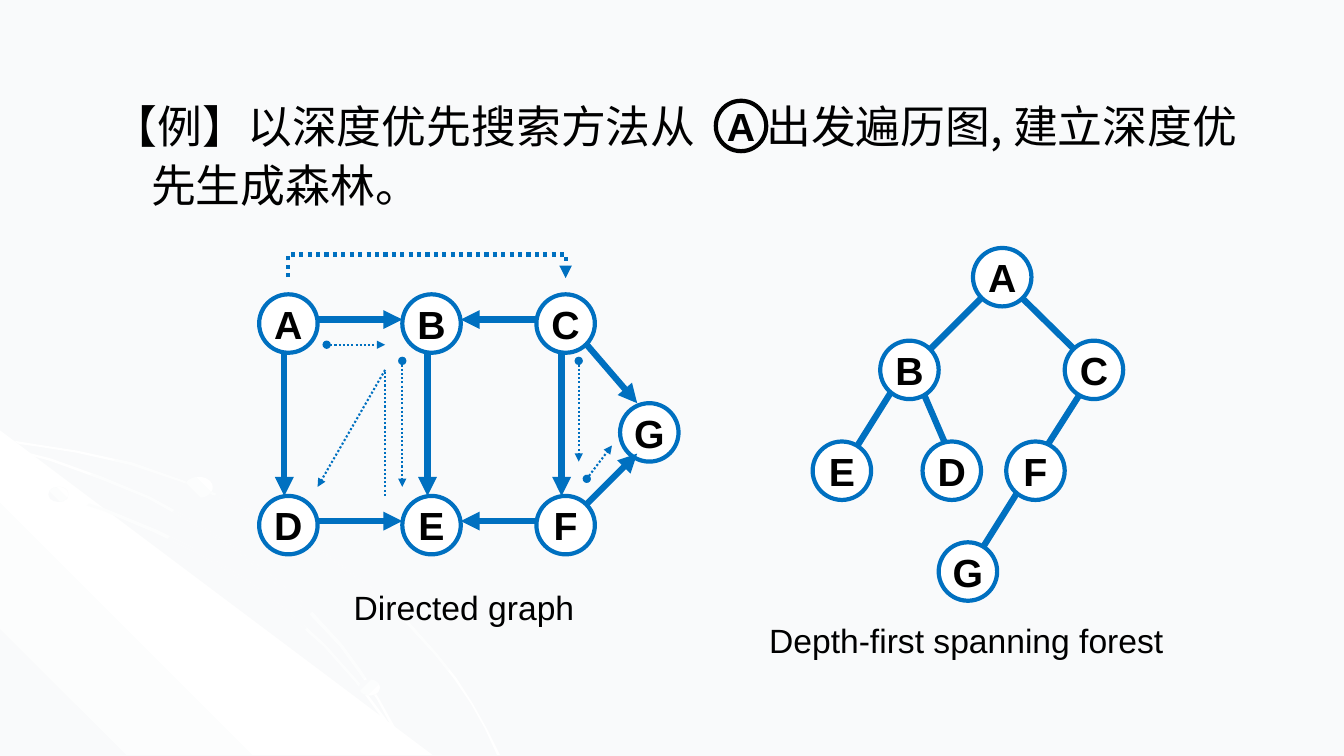
from dataclasses import dataclass
from typing import Any

from lxml import etree
from pptx import Presentation
from pptx.dml.color import RGBColor
from pptx.enum.dml import MSO_LINE
from pptx.enum.shapes import MSO_CONNECTOR, MSO_SHAPE
from pptx.enum.text import MSO_ANCHOR, MSO_AUTO_SIZE, PP_ALIGN
from pptx.oxml.ns import qn
from pptx.util import Inches, Pt

STRAIGHT, ELBOW = MSO_CONNECTOR.STRAIGHT, MSO_CONNECTOR.ELBOW
ELLIPSE = MSO_SHAPE.OVAL
DOTTED = MSO_LINE.ROUND_DOT
CENTER = PP_ALIGN.CENTER
MIDDLE = MSO_ANCHOR.MIDDLE
FIT_TEXT = MSO_AUTO_SIZE.SHAPE_TO_FIT_TEXT

BLACK = RGBColor(0x00, 0x00, 0x00)
WHITE = RGBColor(0xFF, 0xFF, 0xFF)
BLUE = RGBColor(0x00, 0x70, 0xC0)
MIST = RGBColor(0xF9, 0xFA, 0xFB)

LATIN, CHINESE = "Arial", "Noto Sans CJK SC"
NODE_SIZE = 0.58
NODE_FONT = {"name": LATIN, "size": Pt(28), "bold": True}
CAPTION_FONT = {"name": LATIN, "size": Pt(24)}
TITLE_FONT = {"name": CHINESE, "size": Pt(32)}
NODE_FRAME = {"vertical_anchor": MIDDLE, "word_wrap": False}
CAPTION_FRAME = {"word_wrap": False, "auto_size": FIT_TEXT}

Point = tuple[float, float]


@dataclass
class Node:
    label: str
    left: float
    top: float
    size: float = NODE_SIZE
    outline: RGBColor = BLUE
    filled: bool = True


@dataclass
class Edge:
    start: Point
    end: Point
    width: float = 4.5
    dotted: bool = False
    head: str = ""
    tail: str = "triangle"
    kind: Any = STRAIGHT


@dataclass
class Backdrop:
    points: list[Point]
    colors: list[RGBColor]
    angle: int


@dataclass
class Caption:
    text: str
    left: float
    top: float
    width: float


ARC_COLORS = [WHITE, MIST, WHITE]
BACKDROPS = [
    Backdrop([(0.76, 4.47), (0.37, 4.41), (0, 4.35), (0, 4.38), (0.37, 4.43), (0.75, 4.49),
              (1.29, 4.61), (1.8, 4.78), (2.31, 4.99), (2.78, 5.23), (3.21, 5.49), (3.61, 5.79),
              (3.97, 6.12), (4.31, 6.49), (4.5, 6.73), (4.67, 6.98), (4.81, 7.23), (4.93, 7.49),
              (4.96, 7.49), (4.83, 7.23), (4.69, 6.98), (4.53, 6.73), (4.33, 6.48), (4, 6.11),
              (3.63, 5.78), (3.22, 5.48), (2.79, 5.21), (2.32, 4.97), (1.82, 4.77), (1.31, 4.59)],
             ARC_COLORS, 45),
    Backdrop([(4.29, 7.49), (0, 7.49), (0, 4.27)], [MIST, WHITE, MIST], 315),
    Backdrop([(3.8, 7.14), (3.92, 7.32), (4.01, 7.49), (4.04, 7.49), (3.94, 7.3), (3.82, 7.12),
              (3.55, 6.76), (3.23, 6.4), (2.86, 6.06), (2.46, 5.76), (2.03, 5.49), (1.56, 5.26),
              (1.05, 5.05), (0.54, 4.88), (0, 4.75), (0, 4.77), (0.51, 4.9), (1.03, 5.07),
              (1.53, 5.28), (2, 5.51), (2.44, 5.78), (2.84, 6.08), (3.21, 6.41), (3.53, 6.77)],
             ARC_COLORS, 45),
    Backdrop([(0, 4.42), (0, 4.44), (0.49, 4.57), (0.99, 4.75), (1.46, 4.94), (1.89, 5.18),
              (2.31, 5.44), (2.69, 5.75), (3.03, 6.05), (3.37, 6.41), (3.56, 6.67), (3.74, 6.94),
              (3.89, 7.22), (4.01, 7.49), (4.04, 7.49), (3.91, 7.2), (3.76, 6.93), (3.58, 6.65),
              (3.39, 6.39), (3.06, 6.03), (2.72, 5.73), (2.33, 5.43), (1.91, 5.16), (1.49, 4.93),
              (1.01, 4.73), (0.51, 4.55)], ARC_COLORS, 45),
]
DOTS = [((0.48, 4.83, 0.2, 0.15), 315), ((3.56, 6.74, 0.21, 0.16), 45), ((1.83, 4.73, 0.28, 0.21), 315)]

START_NODE = Node("A", 7.1, 1, 0.5, BLACK, False)
TREE_NODES = [Node("A", 9.65, 2.46), Node("B", 8.73, 3.38), Node("D", 9.15, 4.38), Node("E", 8.06, 4.38),
              Node("C", 10.56, 3.38), Node("F", 9.98, 4.38), Node("G", 9.31, 5.38)]
TREE_EDGES = [Edge(start, end, tail="") for start, end in (
    ((10.06, 2.88), (10.73, 3.54)), ((10.15, 4.79), (9.73, 5.46)), ((10.73, 3.88), (10.31, 4.54)),
    ((9.15, 3.88), (9.4, 4.46)), ((8.9, 3.79), (8.48, 4.46)), ((9.73, 2.96), (9.23, 3.46)))]

COLUMNS = (2.57, 3.99, 5.32)
ROWS = ((2.92, "ABC"), (4.92, "DEF"))
GRAPH_NODES = [Node(label, left, top) for top, labels in ROWS for left, label in zip(COLUMNS, labels)]
GRAPH_NODES.append(Node("G", 6.15, 4))
GRAPH_EDGES = [Edge((left + 0.25, 3.5), (left + 0.25, 4.92)) for left in COLUMNS]
for row_top, _ in ROWS:
    GRAPH_EDGES.append(Edge((3.15, row_top + 0.25), (3.99, row_top + 0.25)))
    GRAPH_EDGES.append(Edge((5.32, row_top + 0.25), (4.57, row_top + 0.25)))
GRAPH_EDGES += [Edge((5.82, 3.42), (6.32, 4)), Edge((5.82, 5), (6.32, 4.5))]
VISIT_EDGES = [Edge(start, end, 1.5, True, "oval") for start, end in (
    ((3.24, 3.42), (3.82, 3.42)), ((3.99, 3.58), (3.99, 4.83)),
    ((5.82, 4.75), (6.07, 4.42)), ((5.74, 3.58), (5.74, 4.58)))]
VISIT_EDGES += [Edge((3.82, 4.92), (3.82, 3.67), 1.5, True, tail=""),
                Edge((3.82, 3.67), (3.15, 4.83), 1.5, True)]
RESTART_EDGE = Edge((4.23, 4.13), (4.24, 1.38), 3, True, kind=ELBOW)
CAPTIONS = [Caption("Depth-first spanning forest", 7.53, 6.1, 4.11), Caption("Directed graph", 3.41, 5.77, 2.48)]


def apply_format(target: Any, values: dict[str, Any]) -> None:
    for name, value in values.items():
        setattr(target, name, value)


def add_run(paragraph: Any, text: str, font_format: dict[str, Any]) -> Any:
    run = paragraph.add_run()
    run.text = text
    apply_format(run.font, font_format)
    run.font.color.rgb = BLACK
    properties = run.font._element
    etree.SubElement(properties, qn("a:ea")).set("typeface", font_format["name"])
    return properties


def paint_gradient(shape: Any, colors: list[RGBColor], angle: int) -> None:
    shape.shadow.inherit = False
    shape.line.fill.background()
    shape.fill.gradient()
    shape.fill.gradient_angle = 360 - angle
    stops = shape._element.spPr.find(".//" + qn("a:gsLst"))
    for stop in list(stops):
        stops.remove(stop)
    for index, color in enumerate(colors):
        stop = etree.SubElement(stops, qn("a:gs"), pos=str(100000 * index // (len(colors) - 1)))
        etree.SubElement(stop, qn("a:srgbClr"), val=str(color))


def add_backdrop(slide: Any, backdrop: Backdrop) -> None:
    points = [(Inches(x), Inches(y)) for x, y in backdrop.points]
    builder = slide.shapes.build_freeform(*points[0])
    builder.add_line_segments(points[1:], close=True)
    paint_gradient(builder.convert_to_shape(), backdrop.colors, backdrop.angle)


def add_node(slide: Any, node: Node) -> None:
    box = (Inches(value) for value in (node.left, node.top, node.size, node.size))
    shape = slide.shapes.add_shape(ELLIPSE, *box)
    shape.shadow.inherit = False
    if node.filled:
        shape.fill.solid()
        shape.fill.fore_color.rgb = WHITE
    else:
        shape.fill.background()
    shape.line.color.rgb = node.outline
    shape.line.width = Pt(3)
    apply_format(shape.text_frame, NODE_FRAME)
    paragraph = shape.text_frame.paragraphs[0]
    paragraph.alignment = CENTER
    add_run(paragraph, node.label, NODE_FONT)


def add_edge(slide: Any, edge: Edge) -> Any:
    ends = (Inches(value) for value in edge.start + edge.end)
    connector = slide.shapes.add_connector(edge.kind, *ends)
    connector.line.color.rgb = BLUE
    connector.line.width = Pt(edge.width)
    if edge.dotted:
        connector.line.dash_style = DOTTED
    properties = connector._element.spPr
    for tag, arrow in (("a:headEnd", edge.head), ("a:tailEnd", edge.tail)):
        if arrow:
            etree.SubElement(properties.find(qn("a:ln")), qn(tag), type=arrow)
    etree.SubElement(properties, qn("a:effectLst"))
    return properties


def add_restart_edge(slide: Any) -> None:
    properties = add_edge(slide, RESTART_EDGE)
    properties.find(qn("a:xfrm")).set("rot", "5400000")
    adjustments = properties.find(".//" + qn("a:avLst"))
    etree.SubElement(adjustments, qn("a:gd"), name="adj1", fmla="val -2300000")


def add_caption(slide: Any, caption: Caption) -> None:
    box = (Inches(value) for value in (caption.left, caption.top, caption.width, 0.5))
    frame = slide.shapes.add_textbox(*box).text_frame
    apply_format(frame, CAPTION_FRAME)
    add_run(frame.paragraphs[0], caption.text, CAPTION_FONT)


def add_title(slide: Any) -> None:
    frame = slide.shapes.add_textbox(Inches(1.02), Inches(0.88), Inches(11.55), Inches(5.58)).text_frame
    frame.word_wrap = True
    paragraph = frame.paragraphs[0]
    paragraph.line_spacing = 1.1
    properties = paragraph._p.get_or_add_pPr()
    properties.set("marL", str(Inches(0.38)))
    properties.set("indent", str(Inches(-0.38)))
    add_run(paragraph, "【例】以深度优先搜索方法从", TITLE_FONT)
    add_run(paragraph, " ", TITLE_FONT).set("spc", "4300")
    add_run(paragraph, "出发遍历图, 建立深度优先生成森林。", TITLE_FONT)


def main() -> None:
    presentation = Presentation()
    apply_format(presentation, {"slide_width": Inches(13.33), "slide_height": Inches(7.5)})
    slide = presentation.slides.add_slide(presentation.slide_layouts[6])
    slide.background.fill.solid()
    slide.background.fill.fore_color.rgb = MIST
    for backdrop in BACKDROPS:
        add_backdrop(slide, backdrop)
    for box, angle in DOTS:
        dot = slide.shapes.add_shape(ELLIPSE, *(Inches(value) for value in box))
        paint_gradient(dot, [MIST, WHITE], angle)
    add_title(slide)
    for edge in TREE_EDGES:
        add_edge(slide, edge)
    for node in [START_NODE] + TREE_NODES + GRAPH_NODES:
        add_node(slide, node)
    for edge in GRAPH_EDGES + VISIT_EDGES:
        add_edge(slide, edge)
    add_restart_edge(slide)
    for caption in CAPTIONS:
        add_caption(slide, caption)
    presentation.save("out.pptx")


if __name__ == "__main__":
    main()
